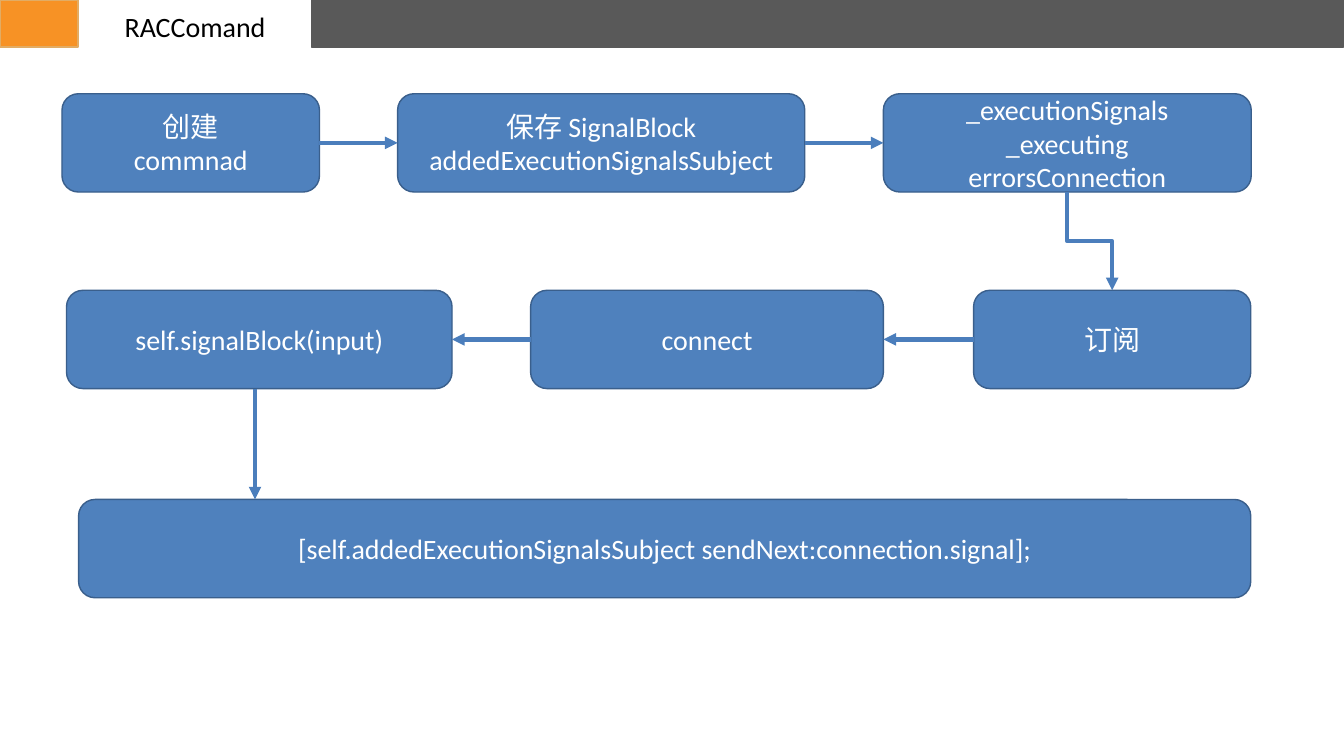
from dataclasses import dataclass

from lxml import etree
from pptx import Presentation
from pptx.dml.color import RGBColor
from pptx.enum.shapes import MSO_CONNECTOR, MSO_SHAPE
from pptx.enum.text import MSO_ANCHOR, PP_ALIGN
from pptx.oxml.ns import qn
from pptx.util import Inches, Pt

RECTANGLE = MSO_SHAPE.RECTANGLE
ROUNDED = MSO_SHAPE.ROUNDED_RECTANGLE
STRAIGHT = MSO_CONNECTOR.STRAIGHT
ELBOW = MSO_CONNECTOR.ELBOW
CENTER = PP_ALIGN.CENTER
MIDDLE = MSO_ANCHOR.MIDDLE
TOP, LEFT, BOTTOM, RIGHT = range(4)


@dataclass(frozen=True)
class Theme:
    font: str = "Calibri"
    size: float = 40
    outline: float = 2
    arrow_width: float = 6
    bar: str = "595959"
    accent: str = "F79225"
    accent_line: str = "E2AC64"
    box: str = "4F81BD"
    box_line: str = "3A5F8C"
    arrow: str = "4B7EBC"
    title: str = "000000"
    box_text: str = "FFFFFF"


THEME = Theme()
BOX_HEIGHT = 1.95
ROW_TOPS = (1.86, 5.76, 9.91)

# name: (row, left, width, lines)
STEPS = {
    "create": (0, 1.23, 5.11, ["创建", "commnad"]),
    "save": (0, 7.89, 8.08, ["保存 SignalBlock", "addedExecutionSignalsSubject"]),
    "signals": (0, 17.53, 7.3, ["_executionSignals", "_executing", "errorsConnection"]),
    "subscribe": (1, 19.32, 5.5, ["订阅"]),
    "connect": (1, 10.53, 7, ["connect"]),
    "signal_block": (1, 1.32, 7.65, ["self.signalBlock(input)"]),
    "send_next": (2, 1.56, 23.26,
                  ["[self.addedExecutionSignalsSubject sendNext:connection.signal];"]),
}

# Straight arrows between the middles of facing sides
FLOW = [
    ("create", RIGHT, "save", LEFT),
    ("save", RIGHT, "signals", LEFT),
    ("subscribe", LEFT, "connect", RIGHT),
    ("connect", LEFT, "signal_block", RIGHT),
]


def write_text(shape, lines, *, color, size=THEME.size, font=THEME.font):
    frame = shape.text_frame
    frame.word_wrap = True
    frame.vertical_anchor = MIDDLE
    for index, line in enumerate(lines):
        paragraph = frame.paragraphs[0] if index == 0 else frame.add_paragraph()
        paragraph.alignment = CENTER
        run = paragraph.add_run()
        run.text = line
        run.font.name = font
        run.font.size = Pt(size)
        run.font.color.rgb = RGBColor.from_string(color)


def add_box(slide, kind, left, top, width, height, fill, line):
    shape = slide.shapes.add_shape(
        kind, Inches(left), Inches(top), Inches(width), Inches(height))
    shape.shadow.inherit = False
    shape.fill.solid()
    shape.fill.fore_color.rgb = RGBColor.from_string(fill)
    shape.line.color.rgb = RGBColor.from_string(line)
    shape.line.width = Pt(THEME.outline)
    return shape


def add_step(slide, row, left, width, lines):
    shape = add_box(slide, ROUNDED, left, ROW_TOPS[row], width, BOX_HEIGHT,
                    THEME.box, THEME.box_line)
    write_text(shape, lines, color=THEME.box_text)
    return shape


def add_arrow(slide, kind=STRAIGHT, start=(0, 0), end=(0, 0)):
    arrow = slide.shapes.add_connector(kind, *start, *end)
    arrow.line.color.rgb = RGBColor.from_string(THEME.arrow)
    arrow.line.width = Pt(THEME.arrow_width)
    line = arrow.line._get_or_add_ln()
    etree.SubElement(line, qn("a:tailEnd"), type="triangle")
    etree.SubElement(arrow._element.spPr, qn("a:effectLst"))
    return arrow


def join(arrow, source, source_side, target, target_side):
    arrow.begin_connect(source, source_side)
    arrow.end_connect(target, target_side)


def turn_downward(arrow):
    """Rotate an elbow so that it leaves and arrives vertically."""
    center_x = (arrow.begin_x + arrow.end_x) // 2
    center_y = (arrow.begin_y + arrow.end_y) // 2
    width, height = arrow.height, arrow.width
    arrow.left, arrow.top = center_x - width // 2, center_y - height // 2
    arrow.width, arrow.height = width, height
    transform = arrow._element.spPr.find(qn("a:xfrm"))
    transform.set("rot", str(270 * 60000))
    transform.set("flipH", "1")


def add_header(slide):
    add_box(slide, RECTANGLE, 6.18, 0, 20.48, 0.93, THEME.bar, THEME.bar)
    add_box(slide, RECTANGLE, 0, 0, 1.55, 0.93, THEME.accent, THEME.accent_line)
    title = slide.shapes.add_textbox(
        Inches(1.56), Inches(0.13), Inches(4.62), Inches(0.77))
    write_text(title, ["RACComand"], color=THEME.title)


def main():
    presentation = Presentation()
    presentation.slide_width = Inches(26.67)
    presentation.slide_height = Inches(15)
    slide = presentation.slides.add_slide(presentation.slide_layouts[6])

    add_header(slide)

    # Steps of the command
    boxes = {name: add_step(slide, *step) for name, step in STEPS.items()}

    # Arrows within the rows
    for source, source_side, target, target_side in FLOW:
        join(add_arrow(slide), boxes[source], source_side, boxes[target], target_side)

    # Arrows from row to row
    elbow = add_arrow(slide, ELBOW)
    join(elbow, boxes["signals"], BOTTOM, boxes["subscribe"], TOP)
    turn_downward(elbow)
    drop_x = Inches(5.06)
    add_arrow(slide, start=(drop_x, Inches(ROW_TOPS[1] + BOX_HEIGHT)),
              end=(drop_x, Inches(ROW_TOPS[2])))

    presentation.save("out.pptx")


if __name__ == "__main__":
    main()
